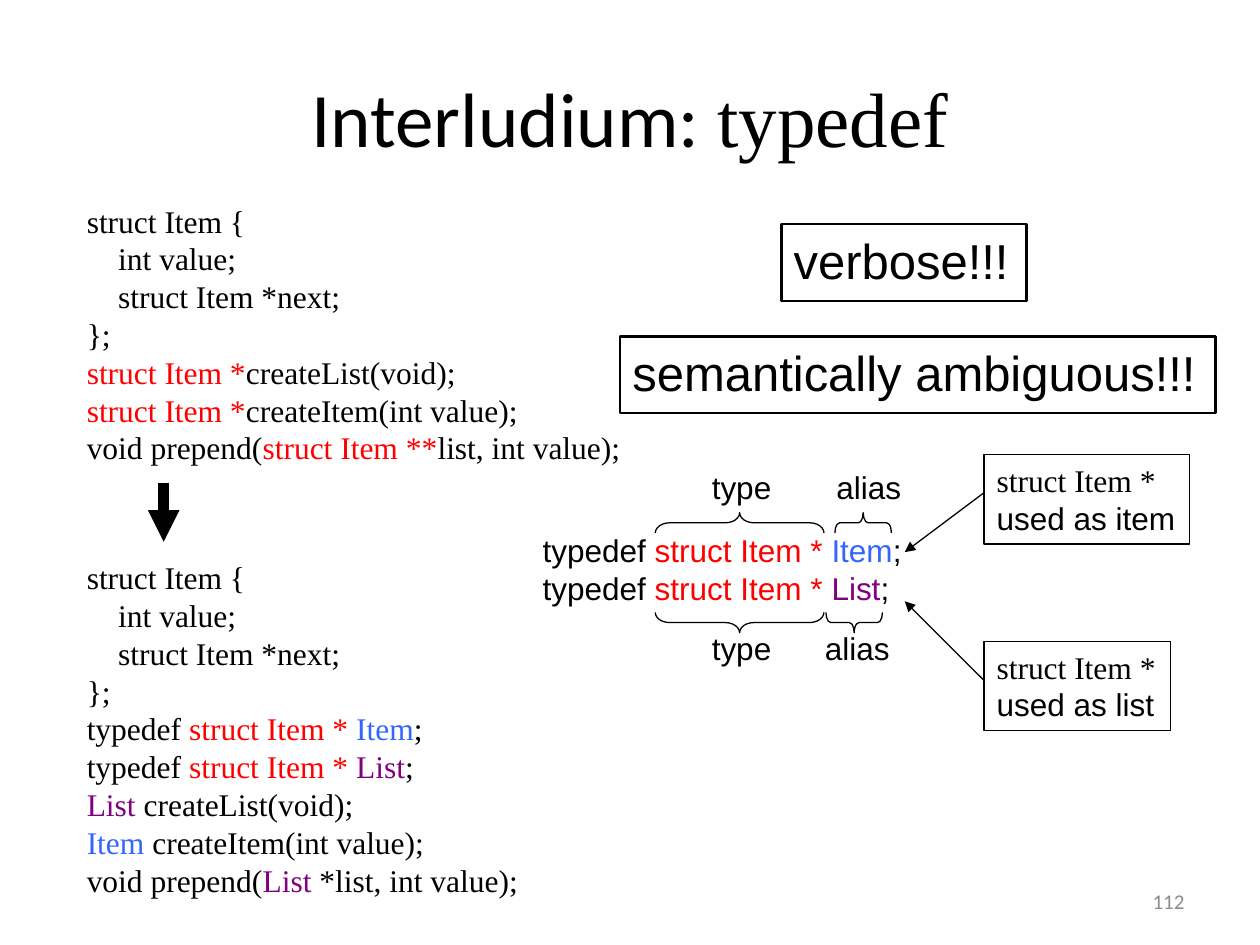
from lxml import etree
from pptx import Presentation
from pptx.dml.color import RGBColor
from pptx.enum.shapes import MSO_CONNECTOR, MSO_SHAPE
from pptx.enum.text import MSO_ANCHOR, MSO_AUTO_SIZE, PP_ALIGN
from pptx.oxml.ns import qn
from pptx.util import Cm, Pt

BRACE = MSO_SHAPE.LEFT_BRACE
LINE = MSO_CONNECTOR.STRAIGHT
TOP, MID = MSO_ANCHOR.TOP, MSO_ANCHOR.MIDDLE
LEFT, MIDDLE, RIGHT = PP_ALIGN.LEFT, PP_ALIGN.CENTER, PP_ALIGN.RIGHT
GROW, FIXED = MSO_AUTO_SIZE.SHAPE_TO_FIT_TEXT, MSO_AUTO_SIZE.NONE

BLACK = RGBColor(0x00, 0x00, 0x00)
RED = RGBColor(0xFF, 0x00, 0x00)
BLUE = RGBColor(0x33, 0x66, 0xFF)
PURPLE = RGBColor(0x80, 0x00, 0x80)
GRAY = RGBColor(0x8C, 0x8C, 0x8C)
SANS, SERIF, HEAD = "Arial", "Times New Roman", "Calibri"

# Content: a line is a list of runs, a run is (text, colour or font)
TITLE = [[("Interludium: ", HEAD), ("typedef", SERIF)]]
STRUCT = [
    [("struct Item {",)],
    [("    int value;",)],
    [("    struct Item *next;",)],
    [("};",)],
]
TYPES = [
    [("typedef ",), ("struct Item * ", RED), (name, color), (";",)]
    for name, color in (("Item", BLUE), ("List", PURPLE))
]
BEFORE = STRUCT + [
    [("struct Item *", RED), ("createList(void);",)],
    [("struct Item *", RED), ("createItem(int value);",)],
    [("void prepend(",), ("struct Item **", RED), ("list, int value);",)],
]
AFTER = STRUCT + TYPES + [
    [("List ", PURPLE), ("createList(void);",)],
    [("Item", BLUE), (" createItem(int value);",)],
    [("void prepend(",), ("List", PURPLE), (" *list, int value);",)],
]

# Places in cm: left, top, width, height
CODE = [(BEFORE, (1.5, 3.94, 11.61, 5.59)), (AFTER, (1.5, 11.13, 11.61, 7.11))]
FLAWS = [
    ("verbose!!!", (15.75, 4.52, 4.95, 1.55)),
    ("semantically ambiguous!!!", (12.5, 6.78, 12.01, 1.55)),
]
USES = [
    ("used as item", (19.84, 9.17, 4.14, 1.8)),
    ("used as list", (19.84, 12.93, 3.76, 1.8)),
]
# Brace rows: turn, brace centre, label top, alias centre, alias left
ROWS = [(90, 10.54, 9.32, 17.4, 16.61), (270, 12.55, 12.55, 17.22, 16.38)]
# Arrows: start, end, width in points
ARROWS = [
    ((3.3, 9.73), (3.3, 10.92), 6),
    ((19.84, 9.93), (18.24, 11.13), 0.75),
    ((19.84, 13.72), (18.24, 12.12), 0.75),
]

deck = Presentation()
deck.slide_width, deck.slide_height = Cm(25.4), Cm(19.05)
slide = deck.slides.add_slide(deck.slide_layouts[6])
shapes = slide.shapes


def add_text(lines, place, size=18, font=SANS, color=BLACK, align=LEFT,
             anchor=TOP, wrap=False, fit=GROW, edge=None):
    box = shapes.add_textbox(*map(Cm, place))
    frame = box.text_frame
    frame.word_wrap, frame.auto_size = wrap, fit
    frame.vertical_anchor = anchor
    if edge:
        box.line.color.rgb, box.line.width = BLACK, Pt(edge)
    for i, line in enumerate(lines):
        para = frame.add_paragraph() if i else frame.paragraphs[0]
        para.alignment = align
        for text, *style in line:
            run = para.add_run()
            run.text = text
            run.font.size, run.font.name = Pt(size), font
            run.font.color.rgb = color
            for item in style:
                if isinstance(item, RGBColor):
                    run.font.color.rgb = item
                else:
                    run.font.name = item


def add_brace(mid_x, mid_y, span, turn, curve):
    thick = 0.41
    brace = shapes.add_shape(BRACE, Cm(mid_x - thick / 2), Cm(mid_y - span / 2),
                             Cm(thick), Cm(span))
    brace.rotation = turn
    brace.adjustments[0] = curve
    brace.shadow.inherit = False
    brace.fill.background()
    brace.line.color.rgb, brace.line.width = BLACK, Pt(0.75)


def add_arrow(start, end, width):
    arrow = shapes.add_connector(LINE, *map(Cm, start + end))
    arrow.line.color.rgb, arrow.line.width = BLACK, Pt(width)
    etree.SubElement(arrow.line._get_or_add_ln(), qn("a:tailEnd"), type="triangle")
    etree.SubElement(arrow._element.spPr, qn("a:effectLst"))


# Title and code
add_text(TITLE, (1.27, 0.76, 22.86, 3.18), size=44, align=MIDDLE, anchor=MID,
         wrap=True, fit=FIXED)
for lines, place in CODE:
    add_text(lines, place, font=SERIF, wrap=True)

# Typedefs with braces above and below
add_text(TYPES, (10.69, 10.59, 7.75, 1.78))
for turn, mid, top, alias_mid, alias_left in ROWS:
    add_brace(14.91, mid, 3.4, turn, 0.71)
    add_brace(alias_mid, mid, 1.14, turn, 0.24)
    add_text([[("type",)]], (14.1, top, 1.7, 1.02))
    add_text([[("alias",)]], (alias_left, top, 1.83, 1.02))

# Framed remarks
for text, place in FLAWS:
    add_text([[(text,)]], place, size=28, edge=1.5)
for text, place in USES:
    add_text([[("struct Item *", SERIF)], [(text,)]], place, edge=0.75)

# Arrows and page number
for arrow in ARROWS:
    add_arrow(*arrow)
add_text([[("112",)]], (18.21, 17.65, 5.92, 1.02), size=12, font=HEAD,
         color=GRAY, align=RIGHT, anchor=MID, wrap=True, fit=FIXED)

deck.save("out.pptx")
